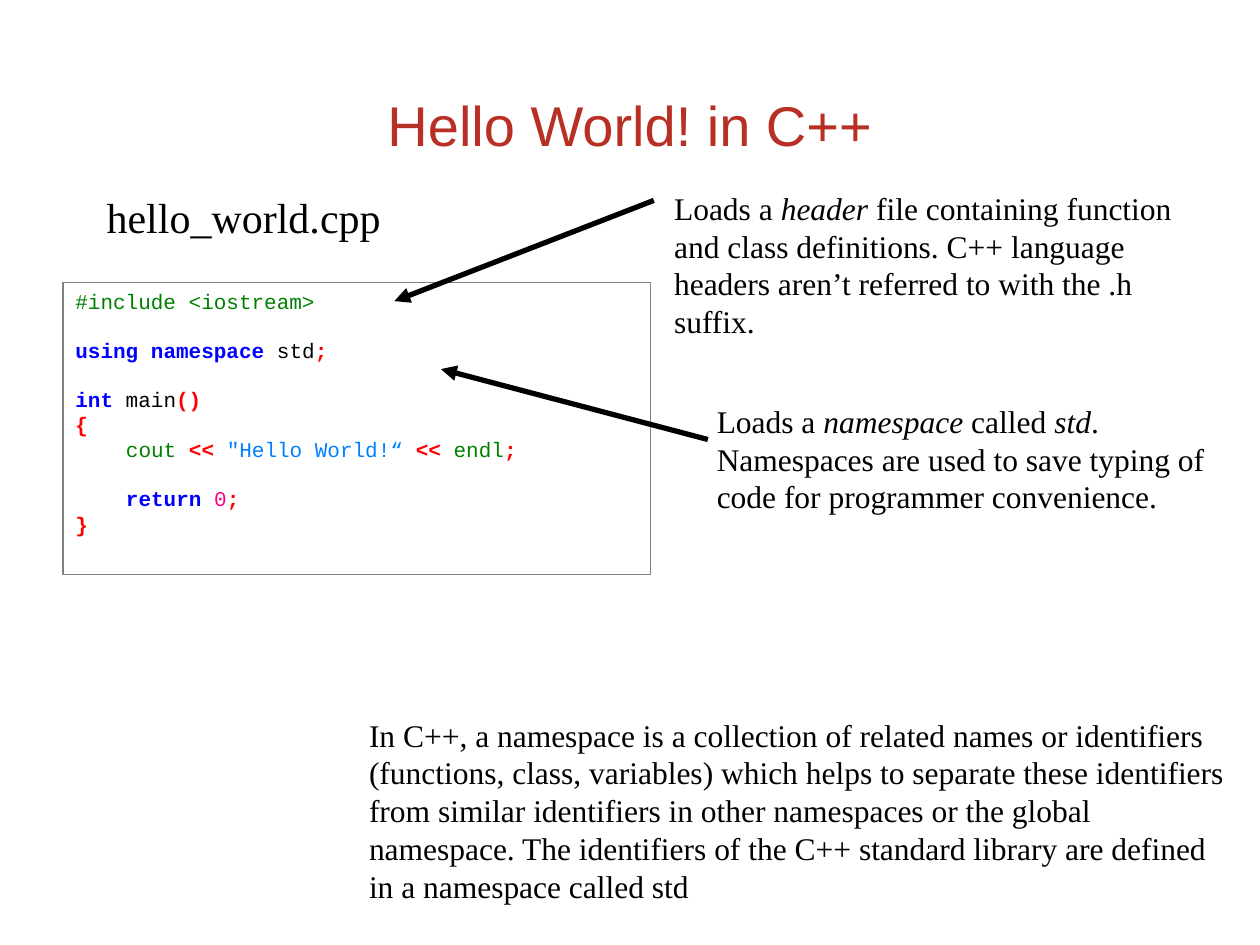
"""Build the slide that explains Hello World in C++."""
from dataclasses import dataclass

from lxml import etree
from pptx import Presentation
from pptx.dml.color import RGBColor
from pptx.enum.shapes import MSO_CONNECTOR, MSO_SHAPE
from pptx.enum.text import MSO_ANCHOR, PP_ALIGN
from pptx.oxml.ns import qn
from pptx.util import Cm, Pt

RECT = MSO_SHAPE.RECTANGLE
STRAIGHT = MSO_CONNECTOR.STRAIGHT
TOP, MIDDLE = MSO_ANCHOR.TOP, MSO_ANCHOR.MIDDLE
LEFT, CENTER = PP_ALIGN.LEFT, PP_ALIGN.CENTER


@dataclass(frozen=True)
class Theme:
    title: str = "B82F25"
    ink: str = "000000"
    border: str = "808080"
    keyword: str = "0000FF"
    symbol: str = "FF0000"
    library: str = "008000"
    string: str = "0080FF"
    number: str = "FF0080"
    title_size: int = 32
    label_size: int = 24
    body_size: int = 18
    code_size: int = 12
    code_line: float = 13.6


THEME = Theme()
BODY = {"name": "Times New Roman", "size": Pt(THEME.body_size)}
LABEL = {**BODY, "size": Pt(THEME.label_size)}
TITLE = {"name": "Arial", "size": Pt(THEME.title_size)}
CODE = {"name": "Courier New", "size": Pt(THEME.code_size)}
BOLD_KINDS = ("keyword", "symbol")

# Each line: blank lines above, indented or not, then (text, kind) tokens.
CODE_LINES = [
    (0, False, [("#include <iostream>", "library")]),
    (1, False, [("using", "keyword"), (" ", "ink"), ("namespace", "keyword"),
                (" std", "ink"), (";", "symbol")]),
    (1, False, [("int", "keyword"), (" main", "ink"), ("()", "symbol")]),
    (0, False, [("{", "symbol")]),
    (0, True, [("cout", "library"), (" ", "ink"), ("<<", "symbol"), (" ", "ink"),
               ('"Hello World!“', "string"), (" ", "ink"), ("<<", "symbol"),
               (" ", "ink"), ("endl", "library"), (";", "symbol")]),
    (1, True, [("return", "keyword"), (" ", "ink"), ("0", "number"), (";", "symbol")]),
    (0, False, [("}", "symbol")]),
]
HEADER_NOTE = [
    ("Loads a ", False), ("header", True),
    (" file containing function and class definitions. C++ language headers "
     "aren’t referred to with the .h suffix.", False),
]
NAMESPACE_NOTE = [
    ("Loads a ", False), ("namespace", True), (" called ", False), ("std", True),
    (". Namespaces are used to save typing of code for programmer convenience.", False),
]
SUMMARY = ("In C++, a namespace is a collection of related names or identifiers "
           "(functions, class, variables) which helps to separate these identifiers "
           "from similar identifiers in other namespaces or the global namespace. "
           "The identifiers of the C++ standard library are defined in a namespace "
           "called std")


def add_run(p, text, color, formats):
    """Append one formatted run to a paragraph."""
    r = p.add_run()
    r.text = text
    for name, value in formats.items():
        setattr(r.font, name, value)
    r.font.color.rgb = RGBColor.from_string(color)


def add_text(s, box, runs, formats, color=THEME.ink, align=LEFT, **frame):
    """Add a text box with one paragraph of (text, italic) runs."""
    tf = s.shapes.add_textbox(*map(Cm, box)).text_frame
    for name, value in {"word_wrap": True, **frame}.items():
        setattr(tf, name, value)
    p = tf.paragraphs[0]
    p.alignment = align
    for text, italic in runs:
        add_run(p, text, color, {**formats, "italic": italic})


def add_code(s, box, lines):
    """Add the outlined box of highlighted code."""
    sp = s.shapes.add_shape(RECT, *map(Cm, box))
    sp.shadow.inherit = False
    sp.fill.background()
    sp.line.color.rgb = RGBColor.from_string(THEME.border)
    sp.line.width = Pt(0.75)
    tf = sp.text_frame
    tf.word_wrap, tf.vertical_anchor = True, TOP
    for i, (gap, indented, tokens) in enumerate(lines):
        p = tf.add_paragraph() if i else tf.paragraphs[0]
        p.alignment = LEFT
        p.space_before = Pt(gap * THEME.code_line)
        if indented:
            p._p.get_or_add_pPr().set("marL", str(Cm(1.02)))
        for text, kind in tokens:
            add_run(p, text, getattr(THEME, kind), {**CODE, "bold": kind in BOLD_KINDS})


def add_arrow(s, start, end):
    """Add a thick arrow from start to end."""
    sp = s.shapes.add_connector(STRAIGHT, *map(Cm, start + end))
    sp.line.color.rgb = RGBColor.from_string(THEME.ink)
    sp.line.width = Pt(3)
    etree.SubElement(sp.line._get_or_add_ln(), qn("a:tailEnd"), type="triangle")
    etree.SubElement(sp._element.spPr, qn("a:effectLst"))


def main():
    """Build and save the slide."""
    prs = Presentation()
    prs.slide_width, prs.slide_height = Cm(25.4), Cm(19.05)
    s = prs.slides.add_slide(prs.slide_layouts[6])
    add_text(s, (1.9, 1.55, 21.6, 1.9), [("Hello World! in C++", False)], TITLE,
             THEME.title, CENTER, vertical_anchor=MIDDLE)
    add_code(s, (1.27, 5.69, 11.84, 5.89), CODE_LINES)
    add_text(s, (13.34, 3.68, 11.2, 1.45), HEADER_NOTE, BODY)
    add_arrow(s, (13.18, 4.04), (7.95, 6.07))
    add_text(s, (14.27, 8, 11.2, 1.78), NAMESPACE_NOTE, BODY,
             margin_left=Cm(0.18), margin_right=Cm(0.18),
             margin_top=Cm(0.1), margin_bottom=Cm(0.1))
    add_arrow(s, (14.27, 8.86), (8.89, 7.44))
    add_text(s, (7.19, 14.3, 17.98, 4.11), [(SUMMARY, False)], BODY)
    add_text(s, (1.9, 3.73, 6.1, 1.27), [("hello_world.cpp", False)], LABEL,
             word_wrap=False)
    prs.save("out.pptx")


if __name__ == "__main__":
    main()
